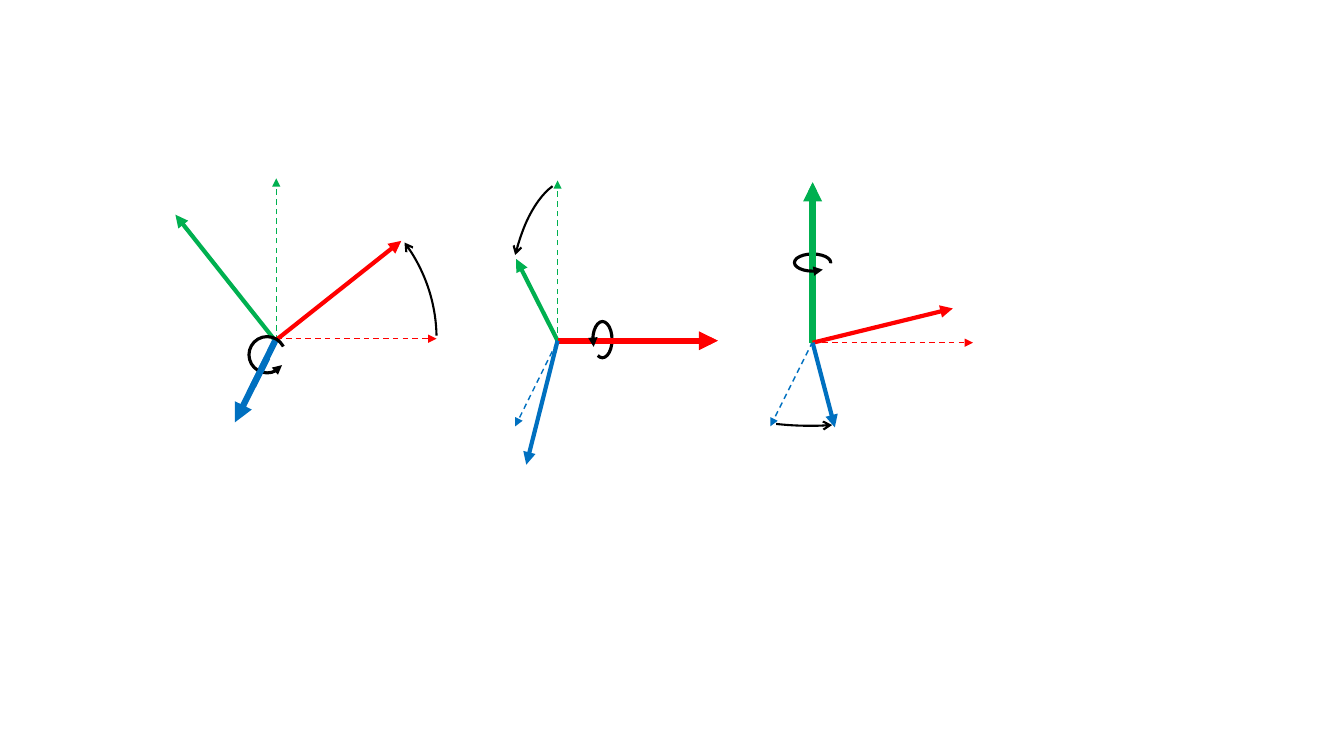
from dataclasses import dataclass

from lxml.etree import SubElement
from pptx import Presentation
from pptx.dml.color import RGBColor
from pptx.dml.line import LineFormat
from pptx.enum.dml import MSO_LINE
from pptx.enum.shapes import MSO_CONNECTOR, MSO_SHAPE
from pptx.oxml.ns import qn
from pptx.slide import Slide
from pptx.util import Inches, Pt

COLORS = {"x": "FF0000", "y": "00B050", "z": "0070C0", "turn": "000000"}

LINE_FORMATS = {
    "initial": {"width": Pt(1), "dash_style": MSO_LINE.DASH},
    "rotated": {"width": Pt(3)},
    "pivot": {"width": Pt(4.5)},
    "sweep": {"width": Pt(1.5)},
    "ring": {"width": Pt(2.25)},
}

ADJUSTMENT_PER_DEGREE = 0.6  # arc angles: 60000 units a degree, scaled by 100000


@dataclass
class Axis:
    name: str
    style: str
    start: tuple[float, float]
    end: tuple[float, float]
    has_arrow: bool = True


@dataclass
class Turn:
    style: str
    box: tuple[float, float, float, float]
    angles: tuple[float, float]
    head: str
    rotation: int = 0


# Each view turns the frame about one axis; parts run from back to front
ABOUT_Z = [
    Axis("y", "initial", (2.74, 3.38), (2.74, 1.77)),
    Axis("x", "initial", (2.74, 3.36), (4.33, 3.36)),
    Axis("y", "rotated", (2.73, 3.38), (1.74, 2.13)),
    Axis("x", "rotated", (2.73, 3.38), (3.98, 2.39)),
    Axis("z", "pivot", (2.74, 3.36), (2.33, 4.19)),
    Turn("sweep", (1.15, 1.77, 3.18, 3.18), (323.13, 358.94), "arrow"),
    Turn("ring", (2.47, 3.34, 0.36, 0.36), (34.66, 333.06), "triangle"),
    Axis("z", "pivot", (2.51, 3.83), (2.65, 3.55), has_arrow=False),
]
ABOUT_X = [
    Axis("z", "initial", (5.52, 3.4), (5.11, 4.23)),
    Axis("y", "initial", (5.53, 3.4), (5.53, 1.79)),
    Axis("x", "initial", (5.53, 3.38), (7.12, 3.38)),
    Axis("y", "rotated", (5.53, 3.38), (5.12, 2.57)),
    Axis("x", "pivot", (5.53, 3.38), (7.12, 3.38)),
    Axis("z", "rotated", (5.53, 3.38), (5.22, 4.61)),
    Turn("sweep", (4.08, 2.71, 3.18, 1.32), (326.29, 352.9), "arrow", 270),
    Turn("ring", (5.88, 3.19, 0.19, 0.36), (140.48, 106.36), "triangle"),
    Axis("x", "pivot", (5.97, 3.38), (6.13, 3.38), has_arrow=False),
]
ABOUT_Y = [
    Axis("z", "initial", (8.06, 3.39), (7.64, 4.23)),
    Axis("y", "initial", (8.06, 3.42), (8.06, 1.81)),
    Axis("x", "initial", (8.06, 3.4), (9.65, 3.4)),
    Axis("y", "pivot", (8.06, 3.4), (8.06, 1.81)),
    Axis("x", "rotated", (8.06, 3.4), (9.45, 3.06)),
    Axis("z", "rotated", (8.06, 3.4), (8.28, 4.24)),
    Turn("sweep", (7.22, 1.82, 1.63, 3.18), (344.93, 22.98), "arrow", 90),
    Turn("ring", (7.88, 2.52, 0.36, 0.17), (34.66, 2.32), "triangle"),
    Axis("y", "pivot", (8.06, 2.39), (8.06, 2.6), has_arrow=False),
]


def format_line(line: LineFormat, color: str, style: str) -> None:
    line.color.rgb = RGBColor.from_string(COLORS[color])
    for attribute, value in LINE_FORMATS[style].items():
        setattr(line, attribute, value)


def add_arrowhead(shape, end: str, kind: str) -> None:
    line_element = shape._element.spPr.find(qn("a:ln"))
    SubElement(line_element, qn(f"a:{end}"), type=kind)


def draw_axis(slide: Slide, axis: Axis) -> None:
    ends = [Inches(value) for value in axis.start + axis.end]
    connector = slide.shapes.add_connector(MSO_CONNECTOR.STRAIGHT, *ends)
    format_line(connector.line, axis.name, axis.style)
    if axis.has_arrow:
        add_arrowhead(connector, "tailEnd", "triangle")
    SubElement(connector._element.spPr, qn("a:effectLst"))


def draw_turn(slide: Slide, turn: Turn) -> None:
    box = [Inches(value) for value in turn.box]
    shape = slide.shapes.add_shape(MSO_SHAPE.ARC, *box)
    for index, angle in enumerate(turn.angles):
        shape.adjustments[index] = angle * ADJUSTMENT_PER_DEGREE
    shape.rotation = turn.rotation
    shape.fill.background()
    format_line(shape.line, "turn", turn.style)
    add_arrowhead(shape, "headEnd", turn.head)
    shape.shadow.inherit = False


def main() -> None:
    presentation = Presentation()
    presentation.slide_width = Inches(13.33)
    presentation.slide_height = Inches(7.5)
    slide = presentation.slides.add_slide(presentation.slide_layouts[6])
    for view in (ABOUT_Z, ABOUT_X, ABOUT_Y):
        for part in view:
            if isinstance(part, Axis):
                draw_axis(slide, part)
            else:
                draw_turn(slide, part)
    presentation.save("out.pptx")


if __name__ == "__main__":
    main()
